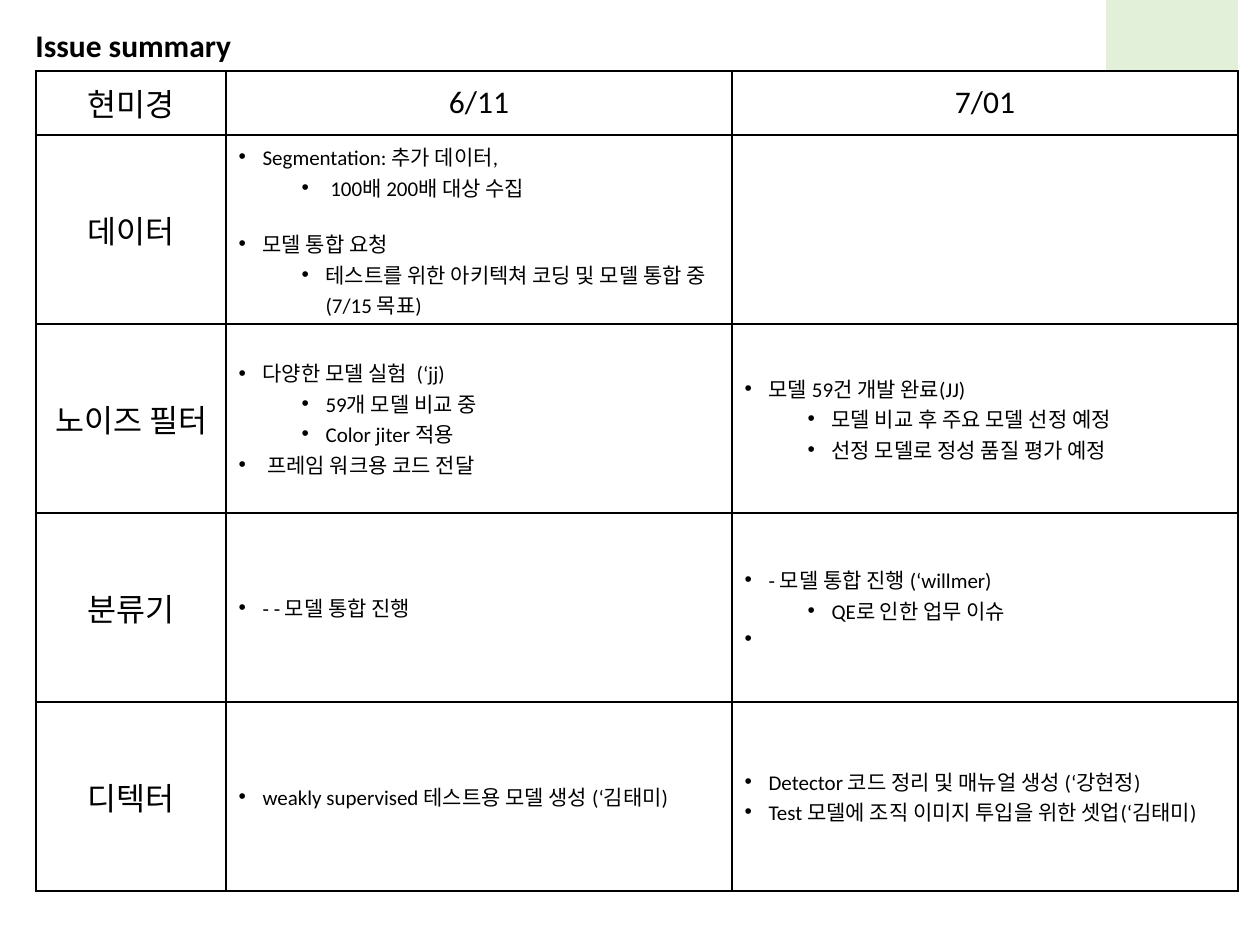
from lxml import etree
from pptx import Presentation
from pptx import util as u
from pptx.dml.color import RGBColor
from pptx.enum import shapes, text
from pptx.oxml import ns

BLACK = RGBColor(0, 0, 0)
WHITE = RGBColor(255, 255, 255)
GREEN = RGBColor(0xE2, 0xF0, 0xD9)
FONT = "Calibri"
COLUMNS = (190, 506, 506)
HEADER_H, ROW_H = 64, 189
GAP = 15

SUMMARY_ROWS = [
    ("현미경", "6/11", "7/01"),
    ("데이터",
     [(0, "Segmentation: 추가 데이터,", 0),
      (1, " 100배 200배 대상 수집", 0),
      (0, "모델 통합 요청", GAP),
      (1, "테스트를 위한 아키텍쳐 코딩 및 모델 통합 중 (7/15 목표)", 0)],
     []),
    ("", [], []),
]
DETAIL_ROWS = [
    ("노이즈 필터",
     [(0, "다양한 모델 실험  (‘jj)", 0),
      (1, "59개 모델 비교 중", 0),
      (1, "Color jiter 적용", 0),
      (0, " 프레임 워크용 코드 전달", 0)],
     [(0, "모델 59건 개발 완료(JJ)", 0),
      (1, "모델 비교 후 주요 모델 선정 예정", 0),
      (1, "선정 모델로 정성 품질 평가 예정", 0)]),
    ("분류기",
     [(0, "- - 모델 통합 진행", 0)],
     [(0, "- 모델 통합 진행 (‘willmer)", 0),
      (1, "QE로 인한 업무 이슈", 0),
      (0, " ", 0)]),
    ("디텍터",
     [(0, "weakly supervised 테스트용 모델 생성 (‘김태미)", 0)],
     [(0, "Detector 코드 정리 및 매뉴얼 생성 (‘강현정)", 0),
      (0, "Test 모델에 조직 이미지 투입을 위한 셋업(‘김태미)", 0)]),
]


def px(n):
    """Turn whole px into EMU at 126 px to the inch."""
    return u.Emu(round(n * 914400 / 126))


def add_run(p, content, size, bold=False):
    """Add one styled run to a paragraph."""
    r = p.add_run()
    r.text = content
    r.font.name, r.font.size, r.font.bold = FONT, u.Pt(size), bold
    r.font.color.rgb = BLACK


def add_bullet(p, level):
    """Give a paragraph a bullet and a hanging indent for its level."""
    p.level = level
    pPr = p._p.get_or_add_pPr()
    pPr.set("marL", str(px(24 + 63 * level)))
    pPr.set("indent", str(-px(24)))
    etree.SubElement(pPr, ns.qn("a:buFont"), typeface="Arial")
    etree.SubElement(pPr, ns.qn("a:buChar"), char="•")


def style_cell(cell):
    """Fill a cell white and draw a thin black border on all sides."""
    cell.fill.solid()
    cell.fill.fore_color.rgb = WHITE
    cell.vertical_anchor = text.MSO_ANCHOR.MIDDLE
    tcPr = cell._tc.get_or_add_tcPr()
    for i, side in enumerate("LRTB"):
        ln = etree.Element(ns.qn(f"a:ln{side}"), w=str(u.Pt(1)))
        fill = etree.SubElement(ln, ns.qn("a:solidFill"))
        etree.SubElement(fill, ns.qn("a:srgbClr"), val=str(BLACK))
        tcPr.insert(i, ln)


def fill_cell(cell, content):
    """Write a centred label or a list of bulleted items into a cell."""
    style_cell(cell)
    tf = cell.text_frame
    if isinstance(content, str):
        if content:
            p = tf.paragraphs[0]
            p.alignment = text.PP_ALIGN.CENTER
            add_run(p, content, 18)
        return
    for i, (level, line, gap) in enumerate(content):
        p = tf.add_paragraph() if i else tf.paragraphs[0]
        add_bullet(p, level)
        if gap:
            p.space_before = u.Pt(gap)
        add_run(p, line, 12)


def issue_table(s, x, y, rows, heights):
    """Place an issue table with its top left corner at x, y."""
    frame = s.shapes.add_table(len(rows), len(COLUMNS), px(x), px(y),
                               px(sum(COLUMNS)), px(sum(heights)))
    table = frame.table
    table.first_row = table.horz_banding = False
    for col, w in zip(table.columns, COLUMNS):
        col.width = px(w)
    for row, h, contents in zip(table.rows, heights, rows):
        row.height = px(h)
        for cell, content in zip(row.cells, contents):
            fill_cell(cell, content)


def corner_block(s, x, y, w, h):
    """Place the green block at the top right corner."""
    sp = s.shapes.add_shape(shapes.MSO_SHAPE.RECTANGLE, px(x), px(y), px(w), px(h))
    sp.shadow.inherit = False
    sp.fill.solid()
    sp.fill.fore_color.rgb = GREEN
    sp.line.fill.background()


def title(s, x, y, w, h):
    """Place the slide heading."""
    tf = s.shapes.add_textbox(px(x), px(y), px(w), px(h)).text_frame
    tf.word_wrap = True
    add_run(tf.paragraphs[0], "Issue summary", 18, bold=True)


def main():
    """Build the issue summary slide."""
    prs = Presentation()
    prs.slide_width, prs.slide_height = px(1260), px(945)
    s = prs.slides.add_slide(prs.slide_layouts[6])
    corner_block(s, 1106, -19, 132, 181)
    title(s, 23, 20, 394, 50)
    left, top = 36, 71
    issue_table(s, left, top, SUMMARY_ROWS, (HEADER_H, ROW_H, ROW_H))
    issue_table(s, left, top + HEADER_H + ROW_H, DETAIL_ROWS, (ROW_H,) * 3)
    prs.save("out.pptx")


if __name__ == "__main__":
    main()
